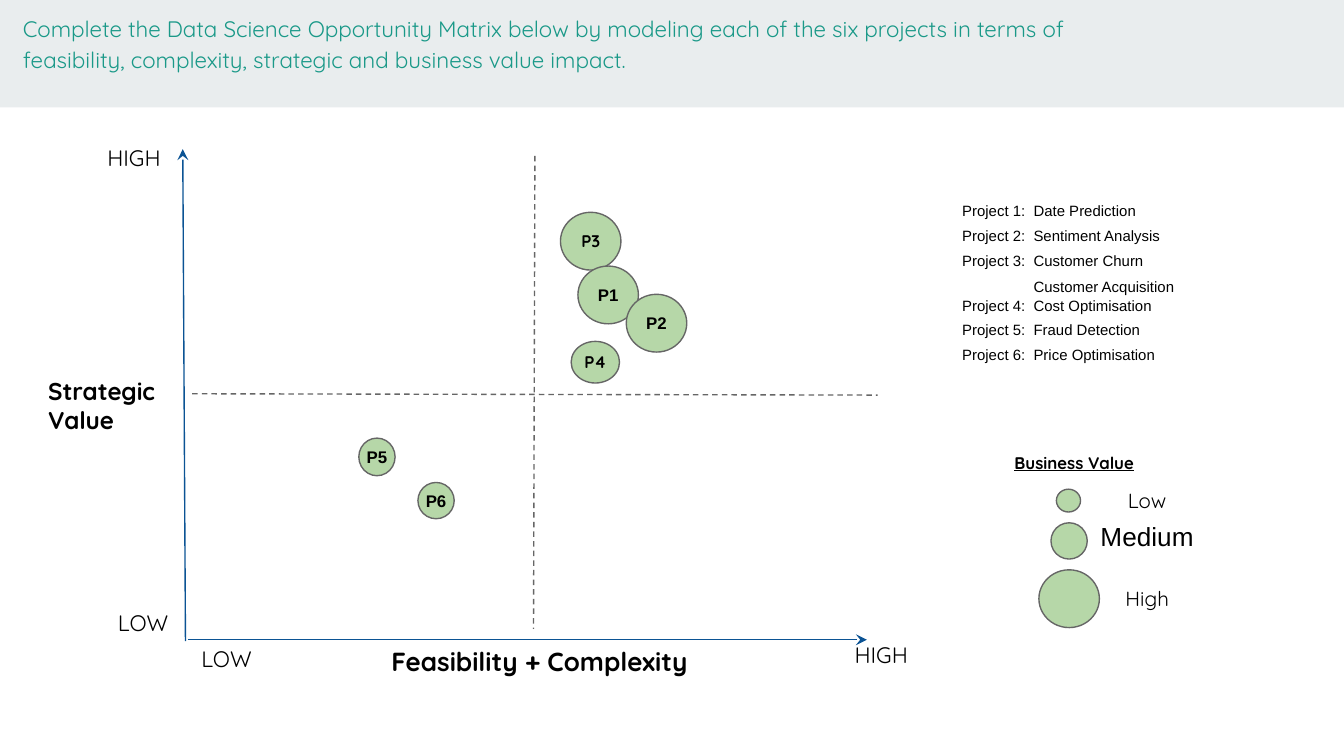
from lxml import etree
from pptx import Presentation
from pptx.dml.color import RGBColor
from pptx.enum.dml import MSO_LINE
from pptx.enum.shapes import MSO_CONNECTOR, MSO_SHAPE
from pptx.enum.text import MSO_ANCHOR, MSO_AUTO_SIZE, PP_ALIGN
from pptx.oxml.ns import qn
from pptx.util import Inches, Pt

LEFT, CENTER, RIGHT = PP_ALIGN.LEFT, PP_ALIGN.CENTER, PP_ALIGN.RIGHT
TOP, MIDDLE, BOTTOM = MSO_ANCHOR.TOP, MSO_ANCHOR.MIDDLE, MSO_ANCHOR.BOTTOM
RECTANGLE, OVAL = MSO_SHAPE.RECTANGLE, MSO_SHAPE.OVAL
STRAIGHT, DASH, NO_FIT = MSO_CONNECTOR.STRAIGHT, MSO_LINE.DASH, MSO_AUTO_SIZE.NONE
TITLE_ONLY = 5
SLIDE_WIDTH = 10
SLIDE_HEIGHT = SLIDE_WIDTH * 9 / 16
HEADING_FONT, BODY_FONT = "Quicksand", "Arial"
BLACK, GREY, BLUE, TEAL = "000000", "666666", "0B5394", "1A9988"
BAND_FILL, BUBBLE_FILL = "E9EDEE", "B6D7A8"

TITLE = ("Complete the Data Science Opportunity Matrix below by modeling each of the six "
         "projects in terms of feasibility, complexity, strategic and business value impact.")
QUADRANT_LINES = [((3.98, 1.16), (3.97, 4.68)), ((1.43, 2.93), (6.53, 2.94))]
AXES = [((1.36, 1.11), (1.38, 4.77)), ((6.45, 4.76), (1.4, 4.76))]
LABELS = [
    ("Strategic Value", (0.26, 2.7, 1.18, 0.45), {"size": 13, "bold": True}),
    ("Feasibility + Complexity", (2.28, 4.7, 3.47, 0.45),
     {"size": 14, "bold": True, "align": CENTER}),
    ("HIGH", (0.7, 1, 0.82, 0.17), {"size": 12}),
    ("LOW", (1.4, 4.7, 0.67, 0.24), {"size": 12}),
    ("LOW", (0.78, 4.43, 0.67, 0.24), {"size": 12}),
    ("HIGH", (6.26, 4.7, 0.82, 0.17), {"size": 12}),
    ("Business Value", (7.45, 3.29, 1.86, 0.37), {"size": 9, "bold": True, "underline": True}),
    ("Low", (8.14, 3.54, 0.79, 0.37), {"size": 11, "align": CENTER}),
    ("High", (8.14, 4.27, 0.79, 0.37), {"size": 11, "align": CENTER}),
]
MEDIUM_LABEL = ("Medium", (8.09, 3.82, 0.9, 0.34))
PROJECTS = [
    ("Project 1:", "Date Prediction", 0.18),
    ("Project 2:", "Sentiment Analysis", 0.18),
    ("Project 3:", "Customer Churn", 0.18),
    ("Project 4:", "Customer Acquisition\nCost Optimisation", 0.13),
    ("Project 5:", "Fraud Detection", 0.15),
    ("Project 6:", "Price Optimisation", 0.13),
]
TABLE_BOX = (7.07, 1.47, 2.67, 1.25)
COLUMN_WIDTHS = (0.59, 2.08)
BUBBLES = [
    ("", (7.86, 3.64, 0.18, 0.17), BODY_FONT),
    ("", (7.82, 3.89, 0.27, 0.27), BODY_FONT),
    ("", (7.73, 4.24, 0.45, 0.43), BODY_FONT),
    ("P3", (4.17, 1.58, 0.45, 0.43), HEADING_FONT),
    ("P4", (4.25, 2.54, 0.36, 0.31), HEADING_FONT),
    ("P5", (2.67, 3.26, 0.27, 0.28), BODY_FONT),
    ("P6", (3.11, 3.59, 0.27, 0.27), BODY_FONT),
    ("P1", (4.3, 1.98, 0.45, 0.43), BODY_FONT),
    ("P2", (4.66, 2.19, 0.45, 0.43), BODY_FONT),
]


def color(hex_value):
    return RGBColor.from_string(hex_value)


def inches(values):
    return [Inches(value) for value in values]


def set_attributes(target, values):
    for name, value in values.items():
        setattr(target, name, value)


def write(frame, text, size, font=HEADING_FONT, hex_value=BLACK, bold=False,
          underline=False, align=LEFT, spacing=1.0):
    frame.text = text
    for paragraph in frame.paragraphs:
        set_attributes(paragraph, {"alignment": align, "line_spacing": spacing})
        for run in paragraph.runs:
            set_attributes(run.font, {"size": Pt(size), "name": font, "bold": bold,
                                      "underline": underline})
            run.font.color.rgb = color(hex_value)


def set_frame(owner, horizontal, vertical, anchor):
    set_attributes(owner, {"margin_left": Inches(horizontal), "margin_right": Inches(horizontal),
                           "margin_top": Inches(vertical), "margin_bottom": Inches(vertical),
                           "vertical_anchor": anchor})


def add_shape(slide, kind, box, fill):
    shape = slide.shapes.add_shape(kind, *inches(box))
    shape.shadow.inherit = False
    shape.fill.solid()
    shape.fill.fore_color.rgb = color(fill)
    return shape


def add_header(slide):
    band = add_shape(slide, RECTANGLE, (0, 0, SLIDE_WIDTH, 0.8), BAND_FILL)
    band.line.fill.background()
    slide.shapes._spTree.insert(2, band._element)
    title = slide.shapes.title
    left, top, width, height = inches((0.07, -0.02, 8.44, 0.37))
    set_attributes(title, {"left": left, "top": top, "width": width, "height": height})
    set_attributes(title.text_frame, {"word_wrap": True, "auto_size": NO_FIT})
    set_frame(title.text_frame, 0.1, 0.1, TOP)
    write(title.text_frame, TITLE, 12, hex_value=TEAL, spacing=1.15)


def add_line(slide, ends, hex_value, dashed=False, arrow=False):
    start, end = ends
    connector = slide.shapes.add_connector(STRAIGHT, *inches(start + end))
    connector.line.width = Pt(0.75)
    connector.line.color.rgb = color(hex_value)
    if dashed:
        connector.line.dash_style = DASH
    if arrow:
        etree.SubElement(connector.line._get_or_add_ln(), qn("a:headEnd"), type="stealth")
    etree.SubElement(connector._element.spPr, qn("a:effectLst"))


def add_label(slide, text, box, style):
    frame = slide.shapes.add_textbox(*inches(box)).text_frame
    frame.word_wrap = True
    set_frame(frame, 0.1, 0.1, TOP)
    write(frame, text, **style)


def add_projects(slide):
    box = inches(TABLE_BOX)
    graphic_frame = slide.shapes.add_table(len(PROJECTS), len(COLUMN_WIDTHS), *box)
    table = graphic_frame.table
    set_attributes(table, {"first_row": False, "horz_banding": False})
    for column, width in zip(table.columns, COLUMN_WIDTHS):
        column.width = Inches(width)
    for row, (name, topic, height) in zip(table.rows, PROJECTS):
        row.height = Inches(height)
        for cell, text, align in zip(row.cells, (name, topic), (RIGHT, LEFT)):
            cell.fill.background()
            set_frame(cell, 0.03, 0.015, BOTTOM)
            write(cell.text_frame, text, 8, BODY_FONT, align=align, spacing=1.15)
    graphic_frame.height = box[-1]


def add_bubble(slide, text, box, font):
    bubble = add_shape(slide, OVAL, box, BUBBLE_FILL)
    bubble.line.color.rgb = color(GREY)
    bubble.line.width = Pt(0.75)
    set_frame(bubble.text_frame, 0, 0, MIDDLE)
    write(bubble.text_frame, text, 9, font, bold=True, align=CENTER)


def main():
    """Build the opportunity matrix slide."""
    presentation = Presentation()
    set_attributes(presentation, {"slide_width": Inches(SLIDE_WIDTH),
                                  "slide_height": Inches(SLIDE_HEIGHT)})
    slide = presentation.slides.add_slide(presentation.slide_layouts[TITLE_ONLY])
    add_header(slide)
    for ends in QUADRANT_LINES:
        add_line(slide, ends, GREY, dashed=True)
    for ends in AXES:
        add_line(slide, ends, BLUE, arrow=True)
    for label in LABELS:
        add_label(slide, *label)
    add_projects(slide)
    text, box = MEDIUM_LABEL
    medium = slide.shapes.add_textbox(*inches(box))
    medium.text_frame.word_wrap = False
    write(medium.text_frame, text, 14, BODY_FONT)
    for bubble in BUBBLES:
        add_bubble(slide, *bubble)
    presentation.save("out.pptx")


if __name__ == "__main__":
    main()
